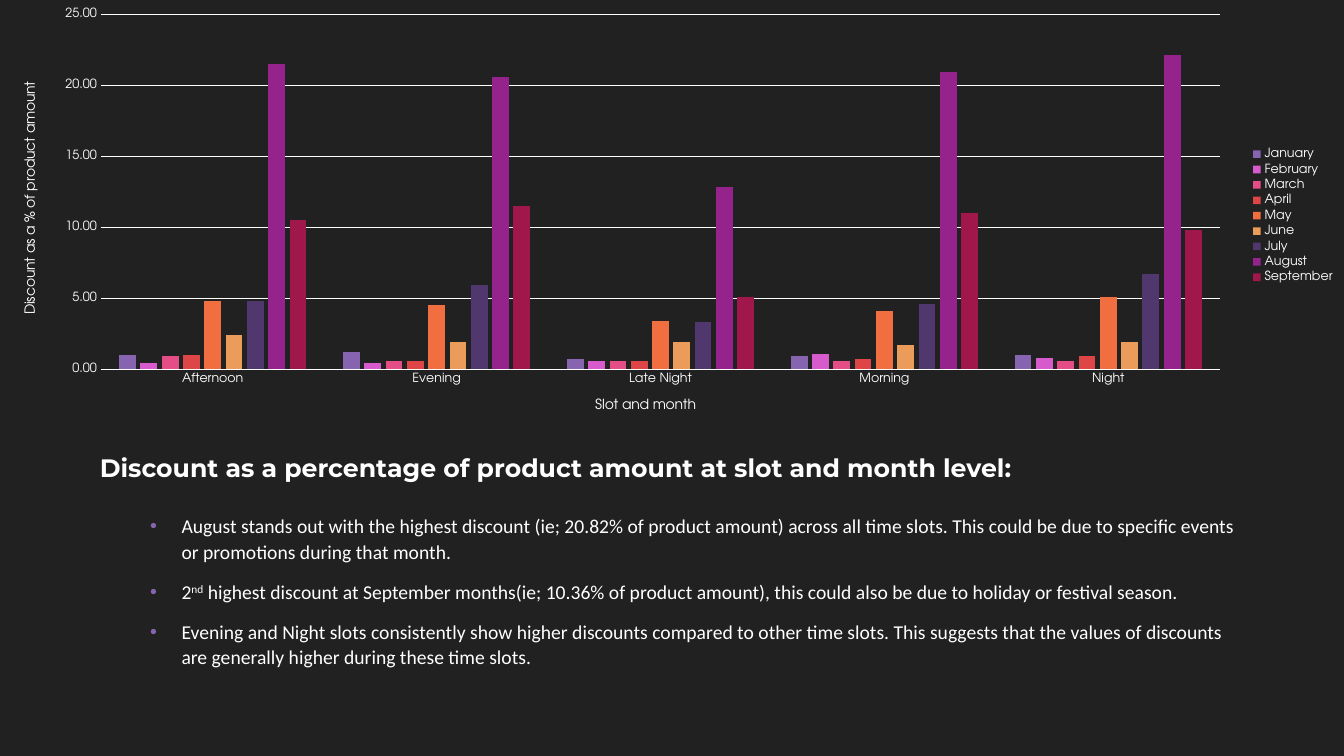
from lxml.etree import SubElement
from pptx import Presentation
from pptx.chart.data import CategoryChartData
from pptx.dml.color import RGBColor
from pptx.enum.chart import XL_CHART_TYPE, XL_LEGEND_POSITION, XL_TICK_MARK
from pptx.enum.text import MSO_ANCHOR, MSO_AUTO_SIZE, PP_ALIGN
from pptx.oxml import parse_xml
from pptx.oxml.ns import nsdecls, qn
from pptx.util import Cm, Pt

WHITE = "FFFFFF"
BACKGROUND = "212121"
BULLET = "8664B0"
CHART_FONT = "TeX Gyre Adventor"

SLOTS = ["Afternoon", "Evening", "Late Night", "Morning", "Night"]
MONTHS = [
    ("January", "8664B0", (1, 1.2, 0.7, 0.9, 1)),
    ("February", "D75BCD", (0.4, 0.4, 0.6, 1.1, 0.8)),
    ("March", "E54D86", (0.9, 0.6, 0.6, 0.6, 0.6)),
    ("April", "DE4547", (1, 0.6, 0.6, 0.7, 0.9)),
    ("May", "F16E40", (4.8, 4.5, 3.4, 4.1, 5.1)),
    ("June", "EB9C5A", (2.4, 1.9, 1.9, 1.7, 1.9)),
    ("July", "50386E", (4.8, 5.9, 3.3, 4.6, 6.7)),
    ("August", "94248B", (21.5, 20.6, 12.8, 20.9, 22.1)),
    ("September", "A0174B", (10.5, 11.5, 5.1, 11, 9.8)),
]
HEADING = "Discount as a percentage of product amount at slot and month level:"
# Each finding is a list of (text, baseline shift in percent)
FINDINGS = [
    [("August stands out with the highest discount (ie; 20.82% of product amount) "
      "across all time slots. This could be due to specific events or promotions "
      "during that month.", 0)],
    [("2", 0), ("nd", 30),
     (" highest discount at September months(ie; 10.36% of product amount), this "
      "could also be due to holiday or festival season.", 0)],
    [("Evening and Night slots consistently show higher discounts compared to other "
      "time slots. This suggests that the values of discounts are generally higher "
      "during these time slots.", 0)],
]


def rgb(code):
    return RGBColor.from_string(code)


def format_font(font, size, name=CHART_FONT, color=WHITE, bold=False):
    font.size = Pt(size)
    font.name = name
    font.bold = bold
    font.color.rgb = rgb(color)


def add_text(paragraph, text, baseline=0, shadow=False, **font_format):
    run = paragraph.add_run()
    run.text = text
    format_font(run.font, **font_format)
    properties = run.font._element
    if baseline:
        properties.set("baseline", str(baseline * 1000))
    if shadow:
        properties.find(qn("a:solidFill")).addnext(parse_xml(
            f'<a:effectLst {nsdecls("a")}><a:outerShdw blurRad="38100" dist="38100" '
            'dir="2700000"><a:srgbClr val="000000"><a:alpha val="43000"/></a:srgbClr>'
            '</a:outerShdw></a:effectLst>'))


def place(element, index, **fractions):
    """Fix a chart part's position, given as fractions of the chart area."""
    for previous in element.findall(qn("c:layout")):
        element.remove(previous)
    layout = parse_xml(f'<c:layout {nsdecls("c")}><c:manualLayout/></c:layout>')
    if index == 0:
        SubElement(layout[0], qn("c:layoutTarget"), val="inner")
    for key in ("xMode", "yMode"):
        SubElement(layout[0], qn(f"c:{key}"), val="edge")
    for key, value in fractions.items():
        SubElement(layout[0], qn(f"c:{key}"), val=str(value))
    element.insert(index, layout)


def format_axis(axis, title, rotation, x, y):
    axis.major_tick_mark = axis.minor_tick_mark = XL_TICK_MARK.NONE
    format_font(axis.tick_labels.font, 9)
    frame = axis.axis_title.text_frame
    frame._txBody.bodyPr.set("rot", str(rotation * 60000))
    add_text(frame.paragraphs[0], title, size=10)
    place(axis.axis_title._element, 1, x=x, y=y)


def format_line(line):
    line.color.rgb = rgb(WHITE)
    line.width = Pt(0.75)


def add_discount_chart(slide):
    discounts = CategoryChartData(number_format="0.00")
    discounts.categories = SLOTS
    for month, _, values in MONTHS:
        discounts.add_series(month, values)
    chart = slide.shapes.add_chart(XL_CHART_TYPE.COLUMN_CLUSTERED, Cm(0), Cm(0),
                                   Cm(33.87), Cm(10.87), discounts).chart
    chart.has_title = False
    format_font(chart.font, 10)
    place(chart._chartSpace.chart.plotArea, 0, x=0.075, y=0.033, w=0.833, h=0.823)

    columns = chart.plots[0]
    columns.gap_width, columns.overlap = 219, -27
    columns.vary_by_categories = False
    for series, (_, color, _) in zip(columns.series, MONTHS):
        series.format.fill.solid()
        series.format.fill.fore_color.rgb = rgb(color)

    slot_axis, discount_axis = chart.category_axis, chart.value_axis
    format_axis(slot_axis, "Slot and month", 0, x=0.441, y=0.915)
    format_line(slot_axis.format.line)
    format_axis(discount_axis, "Discount as a % of product amount", -90, x=0.015, y=0.183)
    discount_axis.minimum_scale, discount_axis.maximum_scale = 0, 25
    discount_axis.major_unit = 5
    discount_axis.tick_labels.number_format = "0.00"
    discount_axis.tick_labels.number_format_is_linked = False
    discount_axis.format.line.fill.background()
    format_line(discount_axis.major_gridlines.format.line)

    chart.has_legend = True
    chart.legend.position = XL_LEGEND_POSITION.RIGHT
    chart.legend.include_in_layout = False
    format_font(chart.legend.font, 9)
    place(chart.legend._element, 1, x=0.929, y=0.335, w=0.066, h=0.33)


def prepare_placeholder(placeholder, top, height, anchor):
    placeholder.left, placeholder.top = Cm(2.26), Cm(top)
    placeholder.width, placeholder.height = Cm(29.34), Cm(height)
    frame = placeholder.text_frame
    frame.word_wrap = True
    frame.auto_size = MSO_AUTO_SIZE.NONE
    frame.vertical_anchor = anchor
    return frame


def add_heading(slide):
    frame = prepare_placeholder(slide.shapes.title, 10.72, 1.57, MSO_ANCHOR.BOTTOM)
    heading = frame.paragraphs[0]
    heading.alignment = PP_ALIGN.LEFT
    add_text(heading, HEADING, size=18, name="Montserrat", bold=True, shadow=True)


def format_bullet(paragraph):
    paragraph.level = 1
    paragraph.alignment = PP_ALIGN.LEFT
    paragraph.line_spacing = 1.07
    paragraph.space_before, paragraph.space_after = Pt(2.8), Pt(8)
    properties = paragraph._p.get_or_add_pPr()
    properties.set("marL", str(Cm(2.06)))
    properties.set("indent", str(Cm(-0.79)))
    bullet_color = SubElement(properties, qn("a:buClr"))
    SubElement(bullet_color, qn("a:srgbClr"), val=BULLET)
    SubElement(properties, qn("a:buFont"), typeface="Arial")
    SubElement(properties, qn("a:buChar"), char="•")


def add_findings(slide):
    frame = prepare_placeholder(slide.placeholders[1], 12.6, 5.38, MSO_ANCHOR.MIDDLE)
    frame.margin_bottom = Cm(0.94)
    for number, finding in enumerate(FINDINGS):
        paragraph = frame.add_paragraph() if number else frame.paragraphs[0]
        format_bullet(paragraph)
        for text, baseline in finding:
            add_text(paragraph, text, baseline, shadow=True, size=14, name="Calibri")


def main():
    presentation = Presentation()
    presentation.slide_width, presentation.slide_height = Cm(33.87), Cm(19.05)
    slide = presentation.slides.add_slide(presentation.slide_layouts[1])
    slide.background.fill.solid()
    slide.background.fill.fore_color.rgb = rgb(BACKGROUND)
    add_heading(slide)
    add_findings(slide)
    add_discount_chart(slide)
    presentation.save("out.pptx")


if __name__ == "__main__":
    main()
